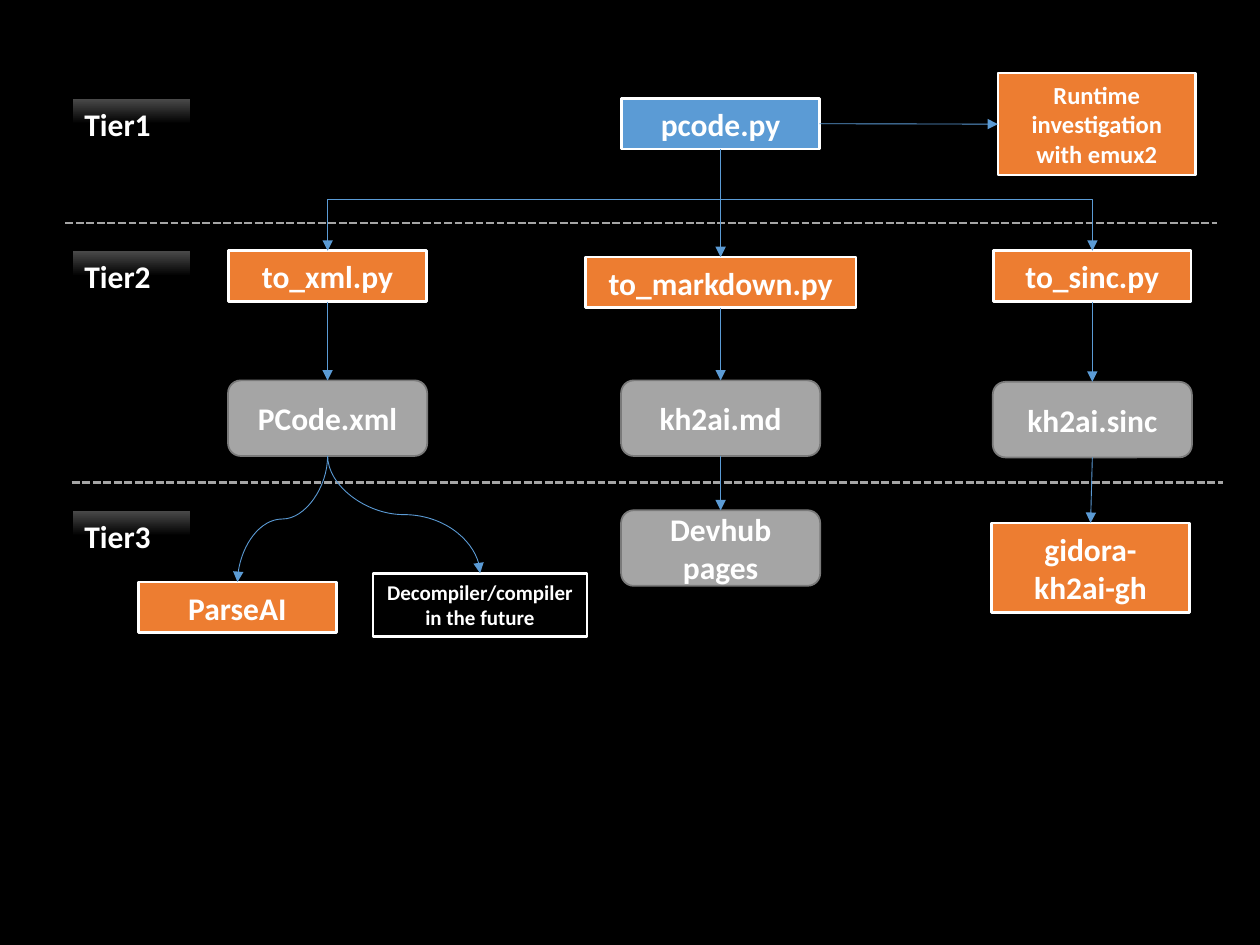
from lxml.etree import SubElement
from pptx import Presentation
from pptx.dml.color import RGBColor
from pptx.enum.dml import MSO_LINE
from pptx.enum.shapes import MSO_CONNECTOR, MSO_SHAPE
from pptx.enum.text import MSO_ANCHOR, MSO_AUTO_SIZE, PP_ALIGN
from pptx.oxml.ns import qn
from pptx.util import Pt

WHITE, BLACK, BLUE, ORANGE, GRAY = "FFFFFF", "000000", "5B9BD5", "ED7D31", "A5A5A5"
LEFT, MIDDLE, RIGHT = 187.2, 411.8, 624.2  # column centres
BOX_W, BOX_H = 113, 29
FILE_W, FILE_H = 113.8, 43.2


def rgb(value):
    return RGBColor.from_string(value)


def set_line(line, color, width):
    line.color.rgb = rgb(color)
    line.width = Pt(width)


def add_text(sp, text, size, align):
    tf = sp.text_frame
    frame_format = {"word_wrap": True, "vertical_anchor": MSO_ANCHOR.MIDDLE}
    for name, value in frame_format.items():
        setattr(tf, name, value)
    p = tf.paragraphs[0]
    p.alignment = align
    r = p.add_run()
    r.text = text
    font_format = {"name": "Calibri", "size": Pt(size), "bold": True}
    for name, value in font_format.items():
        setattr(r.font, name, value)
    r.font.color.rgb = rgb(WHITE)


def add_node(s, kind, text, center, top, w, h, size=18, align=PP_ALIGN.CENTER):
    sp = s.shapes.add_shape(kind, Pt(center - w / 2), Pt(top), Pt(w), Pt(h))
    sp.shadow.inherit = False
    add_text(sp, text, size, align)
    return sp


def add_script(s, text, center, top, w=BOX_W, h=BOX_H, fill=ORANGE, size=18):
    sp = add_node(s, MSO_SHAPE.RECTANGLE, text, center, top, w, h, size)
    sp.fill.solid()
    sp.fill.fore_color.rgb = rgb(fill)
    set_line(sp.line, WHITE, 1.5)
    sp.text_frame.auto_size = MSO_AUTO_SIZE.SHAPE_TO_FIT_TEXT
    return sp


def add_output(s, text, center, top):
    sp = add_node(s, MSO_SHAPE.ROUNDED_RECTANGLE, text, center, top, FILE_W, FILE_H)
    sp.fill.solid()
    sp.fill.fore_color.rgb = rgb(GRAY)
    set_line(sp.line, "7A7A7A", 1)
    return sp


def add_tier(s, text, top):
    sp = add_node(s, MSO_SHAPE.RECTANGLE, text, 75, top, 67.7, BOX_H, align=PP_ALIGN.LEFT)
    sp.fill.gradient()
    sp.fill.gradient_angle = 270
    for stop, position, color in zip(sp.fill.gradient_stops, (0, 0.5), ("4B4B4B", BLACK)):
        stop.position = position
        stop.color.rgb = rgb(color)
    set_line(sp.line, BLACK, 0.5)
    sp.text_frame.auto_size = MSO_AUTO_SIZE.SHAPE_TO_FIT_TEXT


def add_line(s, kind, x1, y1, x2, y2, color, width):
    cn = s.shapes.add_connector(kind, x1, y1, x2, y2)
    set_line(cn.line, color, width)
    SubElement(cn._element.spPr, qn("a:effectLst"))
    return cn


def add_arrow(s, kind, x1, y1, x2, y2):
    cn = add_line(s, kind, x1, y1, x2, y2, BLUE, 0.5)
    SubElement(cn.line._get_or_add_ln(), qn("a:tailEnd"), type="triangle")
    return cn


def ends_down(a, b):
    """Bottom centre of a and top centre of b."""
    return a.left + a.width // 2, a.top + a.height, b.left + b.width // 2, b.top


def arrow_down(s, a, b):
    add_arrow(s, MSO_CONNECTOR.STRAIGHT, *ends_down(a, b))


def branch_down(s, kind, a, b):
    """Bent or curved arrow that leaves and arrives vertically."""
    x1, y1, x2, y2 = ends_down(a, b)
    w, h = y2 - y1, abs(x2 - x1)
    left, top = (x1 + x2 - w) // 2, (y1 + y2 - h) // 2
    cn = add_arrow(s, kind, left, top, left + w, top + h)
    xfrm = cn._element.spPr.find(qn("a:xfrm"))
    if x2 > x1:
        xfrm.set("rot", "16200000")
        xfrm.set("flipH", "1")
    else:
        xfrm.set("rot", "5400000")


def main():
    prs = Presentation()
    prs.slide_width, prs.slide_height = Pt(720), Pt(540)
    s = prs.slides.add_slide(prs.slide_layouts[6])
    s.background.fill.solid()
    s.background.fill.fore_color.rgb = rgb(BLACK)

    # Tier labels and separators
    for text, top in (("Tier1", 56.2), ("Tier2", 143.3), ("Tier3", 291.6)):
        add_tier(s, text, top)
    for left, y in ((37.4, 127.4), (41, 275.8)):
        cn = add_line(s, MSO_CONNECTOR.STRAIGHT, Pt(left), Pt(y), Pt(left + 658), Pt(y), GRAY, 1.5)
        cn.line.dash_style = MSO_LINE.SQUARE_DOT

    # Tier 1: parser and runtime work
    pcode = add_script(s, "pcode.py", MIDDLE, 56.2, fill=BLUE)
    runtime = add_script(s, "Runtime investigation with emux2", 626.8, 41.8, h=58.3, size=14)
    add_arrow(s, MSO_CONNECTOR.STRAIGHT,
              pcode.left + pcode.width, pcode.top + pcode.height // 2,
              runtime.left, runtime.top + runtime.height // 2)

    # Tier 2: converters and the files they write
    converters = [
        add_script(s, "to_xml.py", LEFT, 143.3),
        add_script(s, "to_markdown.py", MIDDLE, 146.9, w=154.8),
        add_script(s, "to_sinc.py", RIGHT, 143.3),
    ]
    outputs = [
        add_output(s, "PCode.xml", LEFT, 217.4),
        add_output(s, "kh2ai.md", MIDDLE, 217.4),
        add_output(s, "kh2ai.sinc", RIGHT, 218.2),
    ]
    for converter, output in zip(converters, outputs):
        branch_down(s, MSO_CONNECTOR.ELBOW, pcode, converter)
        arrow_down(s, converter, output)

    # Tier 3: users of the files
    xml, md, sinc = outputs
    parse_ai = add_script(s, "ParseAI", 135.7, 332.6)
    compiler = add_script(s, "Decompiler/compiler in the future", 274.3, 327.6,
                          w=122.4, h=36, fill=BLACK, size=12)
    pages = add_output(s, "Devhub pages", MIDDLE, 291.6)
    plugin = add_script(s, "gidora-kh2ai-gh", 623.2, 298.8, h=51.1)
    for user in (parse_ai, compiler):
        branch_down(s, MSO_CONNECTOR.CURVE, xml, user)
    arrow_down(s, md, pages)
    arrow_down(s, sinc, plugin)

    prs.save("out.pptx")


if __name__ == "__main__":
    main()
